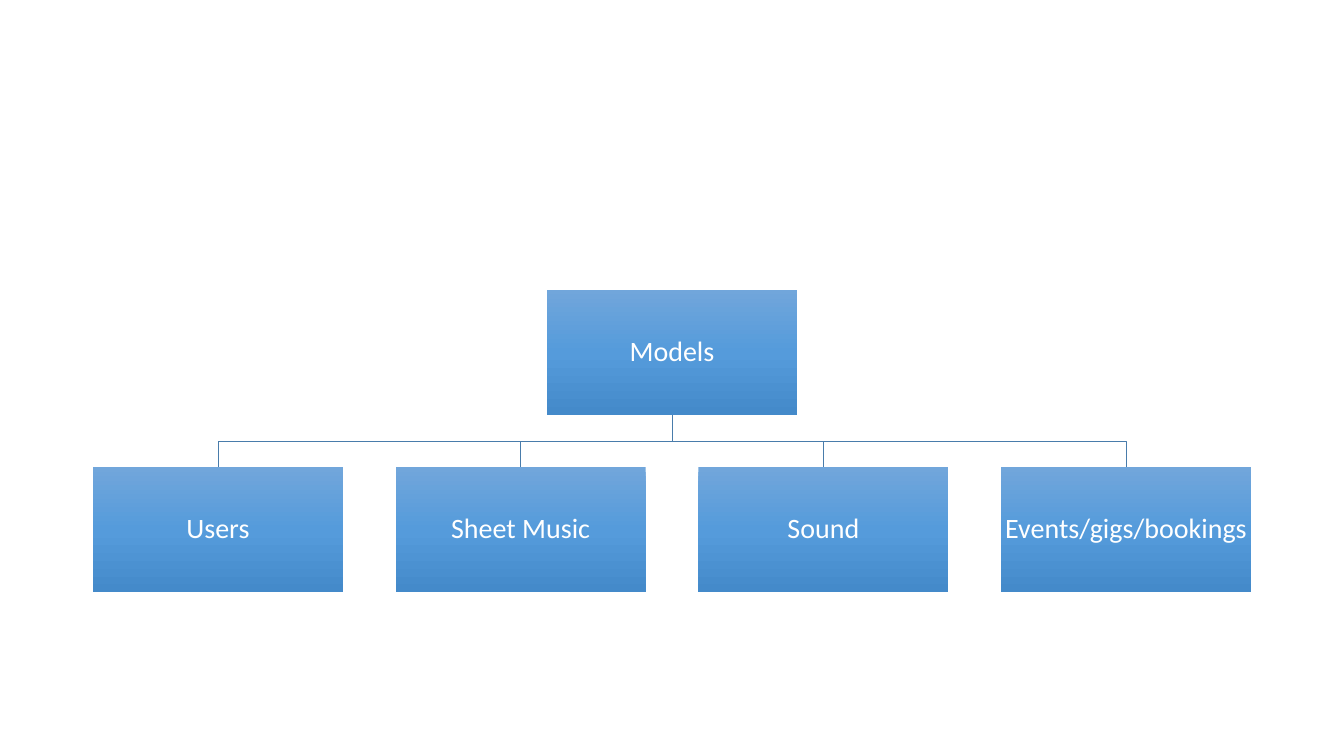
from copy import deepcopy

from pptx import Presentation
from pptx.dml.color import RGBColor
from pptx.enum.shapes import MSO_SHAPE
from pptx.enum.text import MSO_ANCHOR, PP_ALIGN
from pptx.oxml.ns import qn
from pptx.util import Pt

WIDE, HIGH = 178.6, 89.3
MID, STEP = 480, 216.2
TOP, ROW = 206.9, 333.8
STOPS = [(0, "71A6DB"), (0.5, "559BDB"), (1, "448ACA")]
NAMES = ["Users", "Sheet Music", "Sound", "Events/gigs/bookings"]


def color(code):
    return RGBColor.from_string(code)


def write(shape, text, size=20, font="Calibri", ink="FFFFFF"):
    frame = shape.text_frame
    frame.word_wrap = True
    frame.vertical_anchor = MSO_ANCHOR.MIDDLE
    frame.margin_left = frame.margin_right = Pt(1)
    frame.margin_top = frame.margin_bottom = Pt(1)
    para = frame.paragraphs[0]
    para.alignment = PP_ALIGN.CENTER
    para.line_spacing = 0.9
    para.space_after = Pt(7)
    run = para.add_run()
    run.text = text
    run.font.size = Pt(size)
    run.font.name = font
    run.font.color.rgb = color(ink)


deck = Presentation()
deck.slide_width, deck.slide_height = Pt(960), Pt(540)
slide = deck.slides.add_slide(deck.slide_layouts[6])

# Boxes: the root in the middle, its children in an even row
mids = [MID + (i - 1.5) * STEP for i in range(len(NAMES))]
boxes = [("Models", MID, TOP)] + [(n, x, ROW) for n, x in zip(NAMES, mids)]

# Elbow lines from the root down to each child
base = TOP + HIGH
bend = (base + ROW) / 2
for x in reversed(mids):
    pen = slide.shapes.build_freeform(Pt(MID), Pt(base))
    turns = [(MID, bend), (x, bend), (x, ROW)]
    pen.add_line_segments([(Pt(a), Pt(b)) for a, b in turns], close=False)
    line = pen.convert_to_shape()
    line.shadow.inherit = False
    line.fill.background()
    line.line.color.rgb = color("497CAB")
    line.line.width = Pt(0.5)

# Gradient boxes with their labels
for name, x, y in boxes:
    box = slide.shapes.add_shape(
        MSO_SHAPE.RECTANGLE, Pt(x - WIDE / 2), Pt(y), Pt(WIDE), Pt(HIGH))
    box.shadow.inherit = False
    box.line.fill.background()
    box.fill.gradient()
    box.fill.gradient_angle = 270
    # The default gradient has two stops; add a third
    stops = box.element.spPr.find(".//" + qn("a:gsLst"))
    stops.append(deepcopy(stops[0]))
    for stop, (place, code) in zip(box.fill.gradient_stops, STOPS):
        stop.position = place
        stop.color.rgb = color(code)
    write(box, name)

deck.save("out.pptx")
